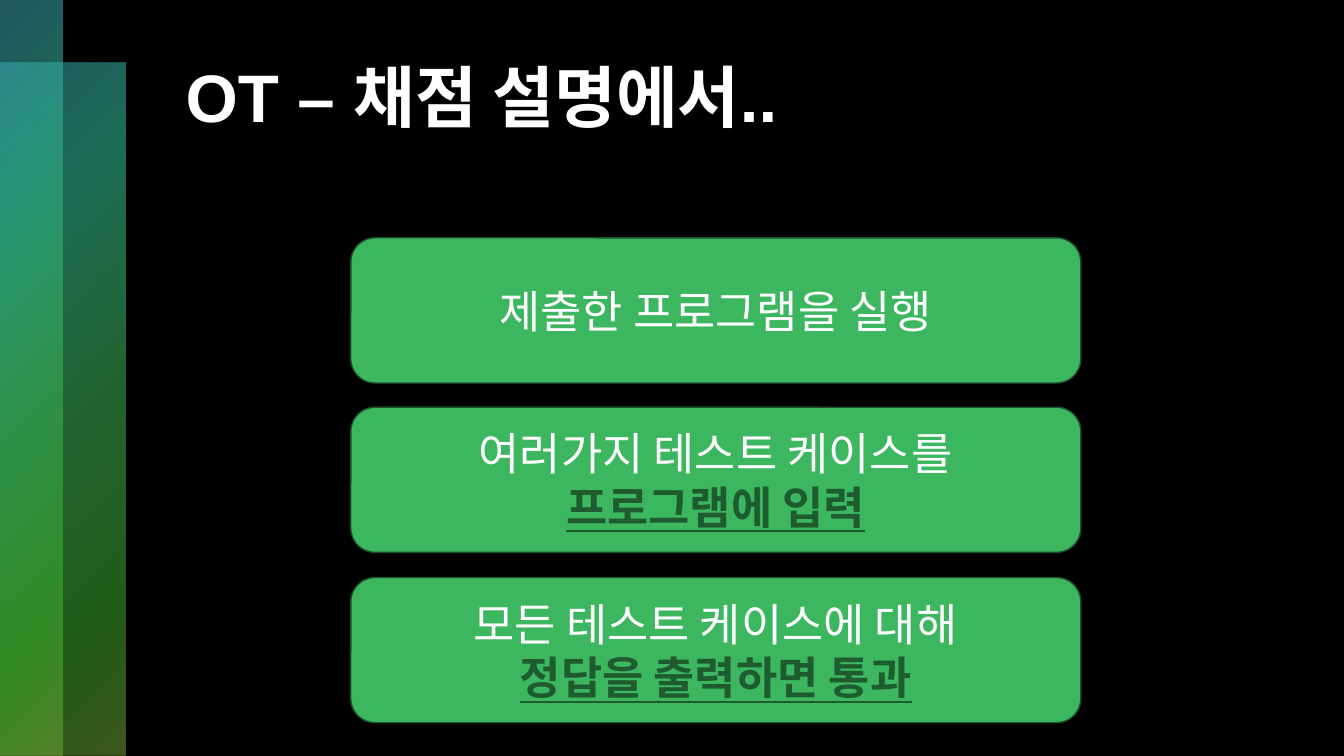
from pptx import Presentation
from pptx.dml.color import RGBColor
from pptx.enum.shapes import MSO_SHAPE as Shape
from pptx.enum.text import MSO_ANCHOR as Anchor, MSO_AUTO_SIZE as AutoSize, PP_ALIGN as Align
from pptx.oxml import parse_xml
from pptx.oxml.ns import nsdecls, qn
from pptx.util import Pt

PX = 9144


def color(value):
    return RGBColor.from_string(value)


def style_font(font, size, value, bold=False, underline=False):
    font.name = "Arial"
    font.size = Pt(size)
    font.color.rgb = color(value)
    font.bold = bold
    font.underline = underline


presentation = Presentation()
presentation.slide_width = 1333 * PX
presentation.slide_height = 750 * PX
slide = presentation.slides.add_slide(presentation.slide_layouts[5])
slide.background.fill.solid()
slide.background.fill.fore_color.rgb = color("000000")

gradient_stops = [
    (0, "3FAFBF", 50),
    (25, "30B58E", 60),
    (50, "3CB65F", 55),
    (81, "43B931", 50),
    (99, "7AAF3A", 50),
]
stops_xml = "".join(
    f'<a:gs pos="{position * 1000}"><a:srgbClr val="{value}">'
    f'<a:alpha val="{opacity * 1000}"/></a:srgbClr></a:gs>'
    for position, value, opacity in gradient_stops
)
gradient_xml = (
    f'<a:gradFill {nsdecls("a")} rotWithShape="1"><a:gsLst>{stops_xml}</a:gsLst>'
    '<a:path path="circle"><a:fillToRect r="100000" b="100000"/></a:path></a:gradFill>'
)

for top, width in [(62, 124), (0, 62)]:
    band = slide.shapes.add_shape(
        Shape.RECTANGLE, 0, top * PX, width * PX, (750 - top) * PX
    )
    band.shadow.inherit = False
    band.line.fill.background()
    band._element.spPr.find(qn("a:prstGeom")).addnext(parse_xml(gradient_xml))

title = slide.shapes.title
title.left, title.top = 174 * PX, 50 * PX
title.width, title.height = 1037 * PX, 170 * PX
title.text_frame.text = "OT – 채점 설명에서.."
title.text_frame.vertical_anchor = Anchor.TOP
title.text_frame.auto_size = AutoSize.NONE
title_paragraph = title.text_frame.paragraphs[0]
title_paragraph.alignment = Align.LEFT
style_font(title_paragraph.font, 48, "FFFFFF", bold=True)

steps = [
    ("제출한 프로그램을 실행", None),
    ("여러가지 테스트 케이스를", "프로그램에 입력"),
    ("모든 테스트 케이스에 대해", "정답을 출력하면 통과"),
]
for index, (statement, emphasis) in enumerate(steps):
    box = slide.shapes.add_shape(
        Shape.FLOWCHART_ALTERNATE_PROCESS,
        348 * PX, (236 + 337 * index // 2) * PX, 724 * PX, 144 * PX,
    )
    box.shadow.inherit = False
    box.fill.solid()
    box.fill.fore_color.rgb = color("3CB65F")
    box.line.color.rgb = color("1A502A")
    box.line.width = Pt(1)
    frame = box.text_frame
    frame.vertical_anchor = Anchor.MIDDLE
    paragraph = frame.paragraphs[0]
    paragraph.text = statement
    paragraph.alignment = Align.CENTER
    style_font(paragraph.font, 32, "FFFFFF")
    if emphasis:
        paragraph = frame.add_paragraph()
        paragraph.text = emphasis
        paragraph.alignment = Align.CENTER
        style_font(paragraph.font, 32, "1E5B2F", bold=True, underline=True)

presentation.save("out.pptx")
